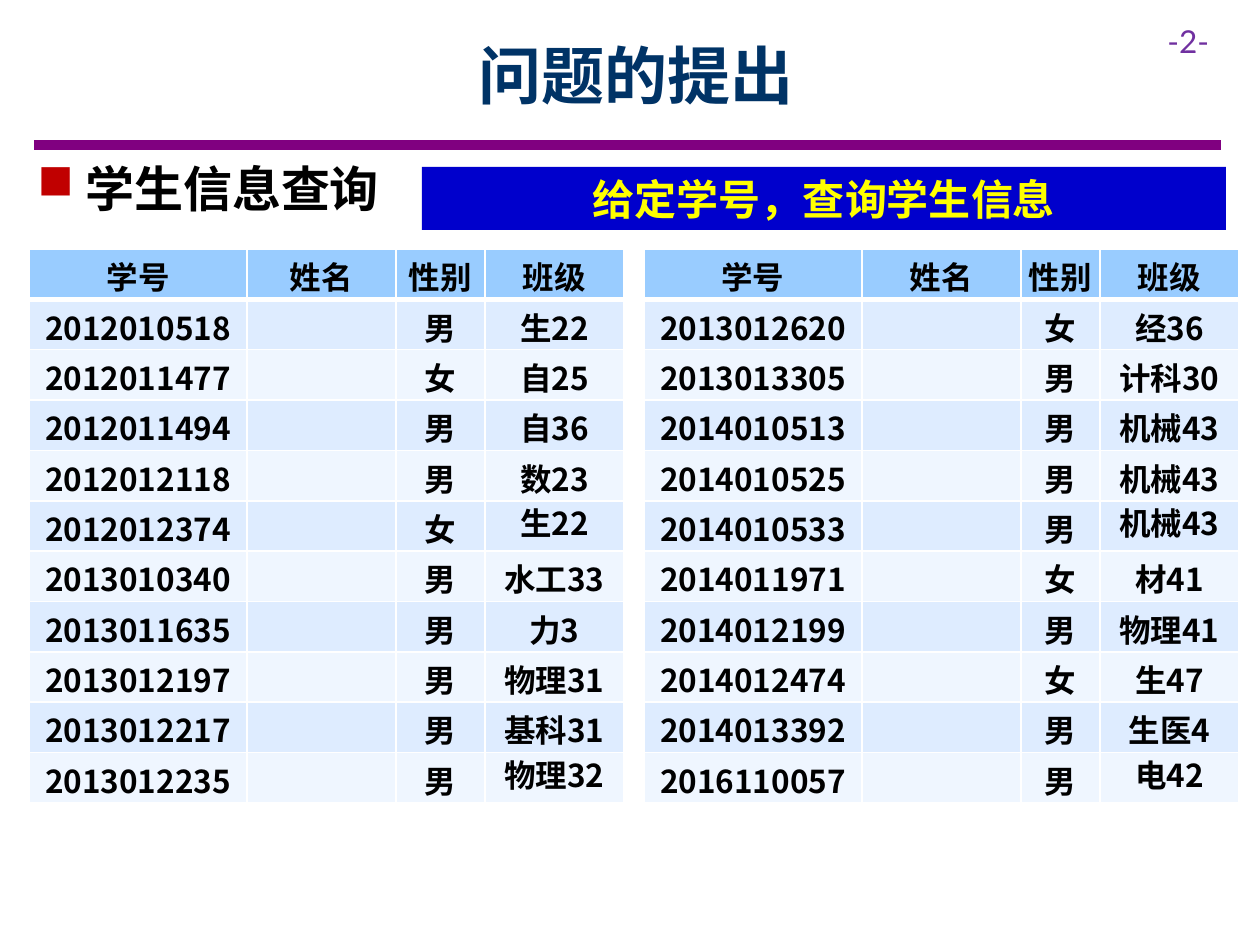
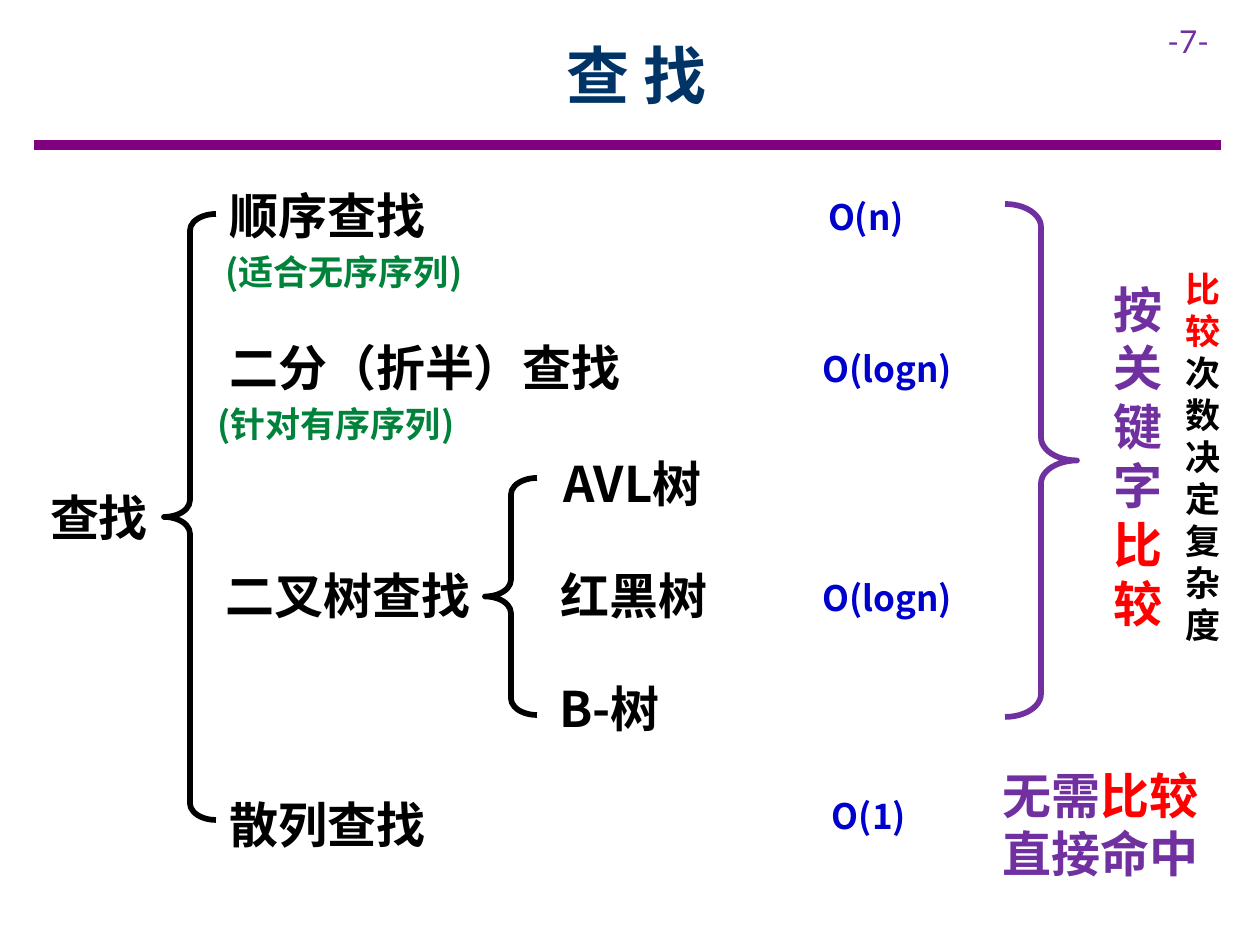
"""Build two lecture slides about searching: a student lookup and an overview of methods."""
import lxml.etree
import pptx
import pptx.dml.color
import pptx.enum.shapes
import pptx.enum.text
import pptx.oxml.ns
import pptx.util

RGBColor = pptx.dml.color.RGBColor
Align = pptx.enum.text.PP_ALIGN
Anchor = pptx.enum.text.MSO_ANCHOR
Shape = pptx.enum.shapes.MSO_SHAPE

WHITE = RGBColor(0xFF, 0xFF, 0xFF)
BLACK = RGBColor(0x00, 0x00, 0x00)
NAVY = RGBColor(0x00, 0x33, 0x66)
BLUE = RGBColor(0x00, 0x00, 0xCC)
PLUM = RGBColor(0x80, 0x00, 0x80)
PURPLE = RGBColor(0x70, 0x30, 0xA0)
YELLOW = RGBColor(0xFF, 0xFF, 0x00)
RED = RGBColor(0xFF, 0x00, 0x00)
GREEN = RGBColor(0x00, 0x82, 0x3B)
HEADER_FILL = RGBColor(0x99, 0xCC, 0xFF)
ROW_FILLS = [RGBColor(0xEF, 0xF6, 0xFF), RGBColor(0xDE, 0xEC, 0xFF)]
BULLET_COLOR = "C00000"

BODY_FONT = "Noto Sans CJK SC"
NUMBER_FONT = "Lato"
LINE_RATIO = 1.2
KEYWORD = "比较"

HEADINGS = ("学号", "姓名", "性别", "班级")
STUDENT_TABLES = [
    (29, (218, 149, 89, 139), [
        ("2012010518", "", "男", "生22"),
        ("2012011477", "", "女", "自25"),
        ("2012011494", "", "男", "自36"),
        ("2012012118", "", "男", "数23"),
        ("2012012374", "", "女", "生22"),
        ("2013010340", "", "男", "水工33"),
        ("2013011635", "", "男", "力3"),
        ("2013012197", "", "男", "物理31"),
        ("2013012217", "", "男", "基科31"),
        ("2013012235", "", "男", "物理32"),
    ]),
    (644, (218, 159, 79, 139), [
        ("2013012620", "", "女", "经36"),
        ("2013013305", "", "男", "计科30"),
        ("2014010513", "", "男", "机械43"),
        ("2014010525", "", "男", "机械43"),
        ("2014010533", "", "男", "机械43"),
        ("2014011971", "", "女", "材41"),
        ("2014012199", "", "男", "物理41"),
        ("2014012474", "", "女", "生47"),
        ("2014013392", "", "男", "生医4"),
        ("2016110057", "", "男", "电42"),
    ]),
]
TABLE_TOP, TABLE_HEIGHT = 249, 554

METHOD = dict(size=28)
NOTE = dict(size=20, color=GREEN)
COST = dict(size=20, color=BLUE)
CENTERED_COST = dict(COST, align=Align.CENTER)
REMARK = dict(size=28, color=PURPLE, highlight=KEYWORD)
SEARCH_LABELS = [
    ("查找", (-10, 481, 218, 72), dict(METHOD, align=Align.CENTER)),
    ("顺序查找", (217, 179, 249, 72), METHOD),
    ("散列查找", (217, 788, 318, 72), METHOD),
    ("二分（折半）查找", (217, 331, 423, 72), METHOD),
    ("二叉树查找", (213, 559, 272, 72), METHOD),
    ("AVL树", (551, 447, 178, 72), METHOD),
    ("红黑树", (548, 559, 272, 72), METHOD),
    ("B-树", (547, 672, 272, 72), METHOD),
    ("(适合无序序列)", (213, 244, 325, 55), NOTE),
    ("(针对有序序列)", (205, 396, 325, 55), NOTE),
    ("O(n)", (776, 189, 180, 55), CENTERED_COST),
    ("O(logn)", (810, 341, 180, 55), COST),
    ("O(logn)", (810, 570, 180, 55), COST),
    ("O(1)", (779, 788, 180, 55), CENTERED_COST),
    ("按关键字比较", (1101, 273, 89, 369), REMARK),
    ("无需比较\n直接命中", (990, 759, 252, 131), REMARK),
    ("比较次数决定复杂度", (1173, 261, 89, 394), dict(size=20, highlight=KEYWORD)),
]
BRACES = [
    (Shape.LEFT_BRACE, (164, 214, 52, 606), BLACK),
    (Shape.LEFT_BRACE, (485, 478, 52, 237), BLACK),
    (Shape.RIGHT_BRACE, (1005, 204, 72, 513), PURPLE),
]


def px(length):
    """Turn pixels into EMU."""
    return round(length * 914400 / 126)


def add_element(parent, tag, **attributes):
    """Append an XML child with a prefixed tag."""
    return lxml.etree.SubElement(parent, pptx.oxml.ns.qn(tag), **attributes)


def write_text(frame, text, size, color=BLACK, font=BODY_FONT, bold=True,
               align=Align.LEFT, highlight=None, line_ratio=LINE_RATIO):
    """Fill a text frame, one paragraph a line, with the keyword in red."""
    frame.word_wrap = True
    for index, line in enumerate(text.split("\n")):
        paragraph = frame.add_paragraph() if index else frame.paragraphs[0]
        paragraph.alignment = align
        if line_ratio:
            paragraph.line_spacing = pptx.util.Pt(size * line_ratio)
        before, keyword, after = line.partition(highlight) if highlight else (line, "", "")
        pieces = [(before, color), (keyword, RED), (after, color)]
        for piece, piece_color in [item for item in pieces if item[0]] or pieces[:1]:
            run = paragraph.add_run()
            run.text = piece
            run.font.size = pptx.util.Pt(size)
            run.font.bold = bold
            run.font.name = font
            run.font.color.rgb = piece_color
            add_element(run._r.get_or_add_rPr(), "a:ea", typeface=font)


def add_label(slide, text, box, **text_format):
    """Add a text box and return its frame."""
    frame = slide.shapes.add_textbox(*map(px, box)).text_frame
    write_text(frame, text, **text_format)
    return frame


def add_shape(slide, preset, box, fill, line=None):
    """Add a filled preset shape with an optional outline."""
    shape = slide.shapes.add_shape(preset, *map(px, box))
    shape.shadow.inherit = False
    shape.fill.solid()
    shape.fill.fore_color.rgb = fill
    if line is None:
        shape.line.fill.background()
    else:
        shape.line.color.rgb = line
        shape.line.width = pptx.util.Pt(3.25)
    return shape


def add_slide(presentation, title, number):
    """Add a slide with the shared rule, page number and title."""
    slide = presentation.slides.add_slide(presentation.slide_layouts[6])
    rule = slide.shapes.add_connector(
        pptx.enum.shapes.MSO_CONNECTOR.STRAIGHT, px(34), px(145), px(1221), px(145))
    rule.line.color.rgb = PLUM
    rule.line.width = pptx.util.Pt(6)
    add_element(rule._element.spPr, "a:effectLst")
    add_label(slide, f"-{number}-", (1155, 16, 105, 50), size=18, color=PURPLE,
              font=NUMBER_FONT, bold=False)
    frame = add_label(slide, title, (113, 11, 1047, 126), size=36, color=NAVY,
                      align=Align.CENTER, line_ratio=None)
    frame.vertical_anchor = Anchor.MIDDLE
    return slide


def set_borders(cell, row):
    """Draw white cell borders, heavier under the header row."""
    widths = {"L": 1, "R": 1, "T": 3 if row == 1 else 1, "B": 3 if row == 0 else 1}
    for side, width in widths.items():
        line = add_element(cell._tc.get_or_add_tcPr(), f"a:ln{side}",
                           w=str(pptx.util.Pt(width)))
        add_element(add_element(line, "a:solidFill"), "a:srgbClr", val=str(WHITE))


def add_student_table(slide, left, widths, students):
    """Add one half of the student list."""
    rows = [HEADINGS, *students]
    table = slide.shapes.add_table(
        len(rows), len(widths), px(left), px(TABLE_TOP),
        px(sum(widths)), px(TABLE_HEIGHT)).table
    for column, width in zip(table.columns, widths):
        column.width = px(width)
    for row, values in enumerate(rows):
        table.rows[row].height = px(TABLE_HEIGHT / len(rows))
        for column, value in enumerate(values):
            cell = table.cell(row, column)
            centered = row > 0 and row % 5 == 0 and column == 3
            cell.vertical_anchor = Anchor.MIDDLE if centered else Anchor.TOP
            cell.margin_left = cell.margin_right = cell.margin_bottom = 0
            cell.margin_top = 0 if centered else px(12)
            set_borders(cell, row)
            cell.fill.solid()
            cell.fill.fore_color.rgb = ROW_FILLS[row % 2] if row else HEADER_FILL
            write_text(cell.text_frame, value, size=18, align=Align.CENTER)


def add_bullet(paragraph):
    """Give a paragraph a square bullet with a hanging indent."""
    properties = paragraph._p.get_or_add_pPr()
    properties.set("marL", str(px(48)))
    properties.set("indent", str(-px(48)))
    add_element(add_element(properties, "a:buClr"), "a:srgbClr", val=BULLET_COLOR)
    add_element(properties, "a:buChar", char="■")


def build_question_slide(presentation):
    """Show the student list and the lookup task."""
    slide = add_slide(presentation, "问题的提出", 2)
    frame = add_label(slide, "学生信息查询", (25, 152, 417, 72), size=28)
    add_bullet(frame.paragraphs[0])
    for left, widths, students in STUDENT_TABLES:
        add_student_table(slide, left, widths, students)
    banner = add_shape(slide, Shape.RECTANGLE, (422, 167, 804, 63), BLUE)
    write_text(banner.text_frame, "给定学号，查询学生信息", size=24,
               color=YELLOW, align=Align.CENTER)


def build_search_slide(presentation):
    """Show the tree of search methods with their costs."""
    slide = add_slide(presentation, "查 找", 7)
    for preset, box, color in BRACES:
        brace = add_shape(slide, preset, box, WHITE, color)
        brace.adjustments[0] = 0.32
        brace.adjustments[1] = 0.5
    for text, box, text_format in SEARCH_LABELS:
        add_label(slide, text, box, **text_format)


def main():
    """Build and save the presentation."""
    presentation = pptx.Presentation()
    presentation.slide_width = px(1260)
    presentation.slide_height = px(945)
    build_question_slide(presentation)
    build_search_slide(presentation)
    presentation.save("out.pptx")


if __name__ == "__main__":
    main()
